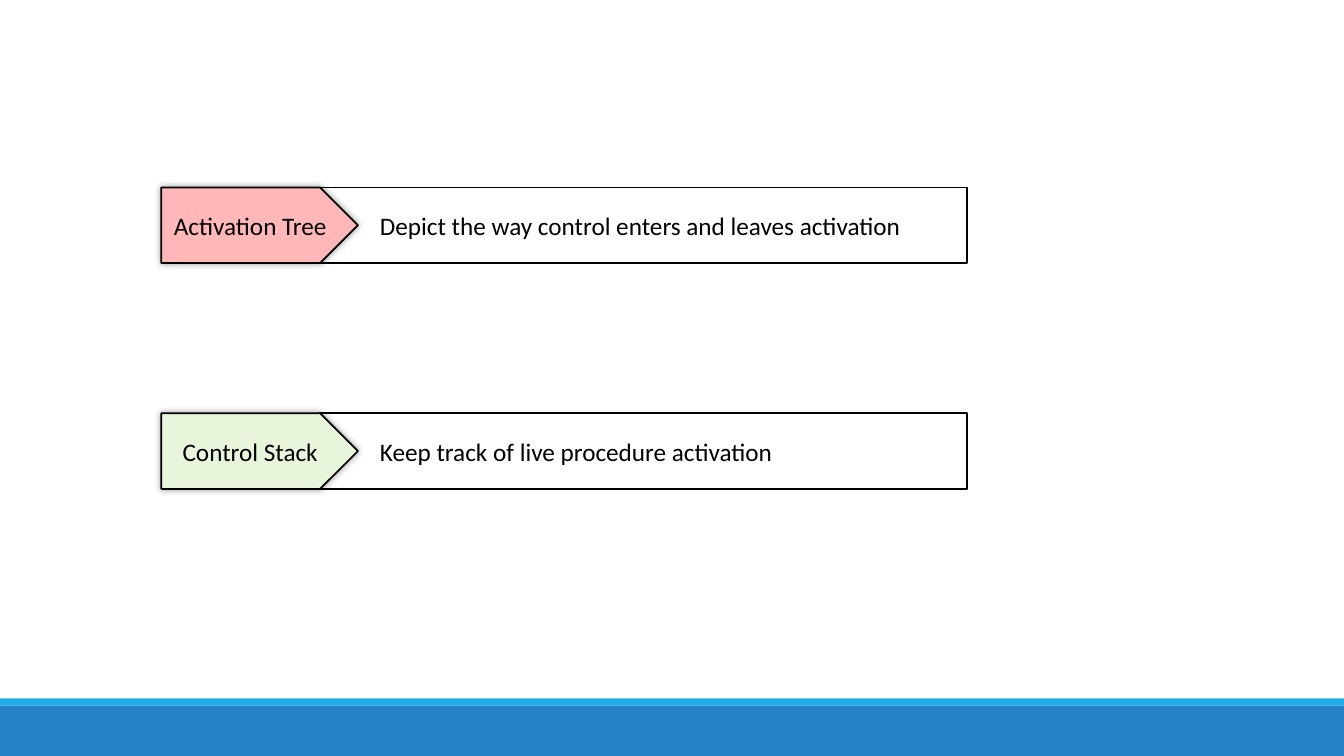
from lxml import etree
from pptx import Presentation, util as u
from pptx.dml.color import RGBColor
from pptx.enum import shapes, text
from pptx.oxml import ns

COLORS = {"band": "2683C6", "stripe": "1CADE4", "ink": "000000",
          "tree": "FFB7B7", "stack": "E9F5DB"}
ROWS = [
    ("Activation Tree", "Depict the way control enters and leaves activation", "tree"),
    ("Control Stack", "Keep track of live procedure activation", "stack"),
]
ROW_TOP, ROW_STEP, ROW_HEIGHT = 1.86, 2.24, 0.75
LABEL_LEFT, LABEL_WIDTH = 1.6, 1.95
DETAIL_LEFT, DETAIL_WIDTH = 3.17, 6.42

prs = Presentation()
prs.slide_width, prs.slide_height = u.Inches(13.33), u.Inches(7.5)
slide = prs.slides.add_slide(prs.slide_layouts[6])


def add_block(kind, left, top, width, height, fill=None, outlined=False):
    block = slide.shapes.add_shape(kind, *map(u.Inches, (left, top, width, height)))
    block.shadow.inherit = False
    if fill:
        block.fill.solid()
        block.fill.fore_color.rgb = RGBColor.from_string(COLORS[fill])
    else:
        block.fill.background()
    if outlined:
        block.line.color.rgb = RGBColor.from_string(COLORS["ink"])
        block.line.width = u.Pt(1.25)
    else:
        block.line.fill.background()
    return block


def write(block, wording, align):
    block.text_frame.text = wording
    block.text_frame.word_wrap = True
    block.text_frame.vertical_anchor = text.MSO_ANCHOR.MIDDLE
    paragraph = block.text_frame.paragraphs[0]
    paragraph.alignment = align
    font = paragraph.runs[0].font
    font.name, font.size = "Calibri", u.Pt(18)
    font.color.rgb = RGBColor.from_string(COLORS["ink"])
    return paragraph


RECT, ARROW = shapes.MSO_SHAPE.RECTANGLE, shapes.MSO_SHAPE.PENTAGON
add_block(RECT, 0, 7, 13.33, 0.5, "band")
add_block(RECT, 0, 6.93, 13.33, 0.07, "stripe")

for row, (term, meaning, fill) in enumerate(ROWS):
    top = ROW_TOP + row * ROW_STEP
    detail = add_block(RECT, DETAIL_LEFT, top, DETAIL_WIDTH, ROW_HEIGHT, outlined=True)
    meaning_line = write(detail, meaning, text.PP_ALIGN.LEFT)
    meaning_line._p.get_or_add_pPr().set("marL", str(u.Inches(0.5)))

    label = add_block(ARROW, LABEL_LEFT, top, LABEL_WIDTH, ROW_HEIGHT, fill, outlined=True)
    write(label, term, text.PP_ALIGN.CENTER)

    # Soft glow-like shadow, centred behind the label
    effects = label._element.spPr.find(ns.qn("a:effectLst"))
    shadow = etree.SubElement(effects, ns.qn("a:outerShdw"), blurRad=str(u.Pt(5)),
                              dist="0", dir="0", algn="ctr", rotWithShape="0")
    shade = etree.SubElement(shadow, ns.qn("a:srgbClr"), val=COLORS["ink"])
    etree.SubElement(shade, ns.qn("a:alpha"), val="40000")

prs.save("out.pptx")
